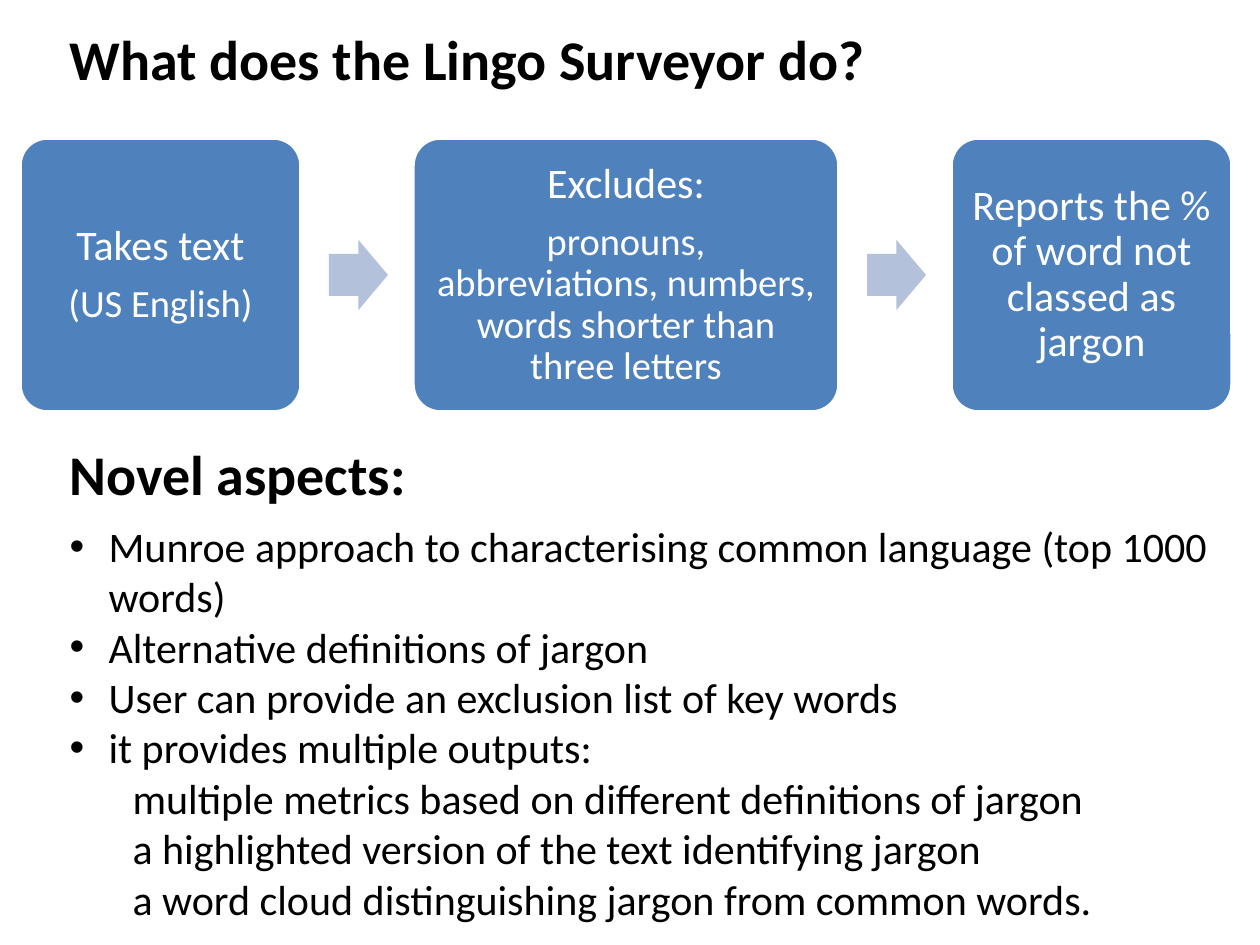
from pptx import Presentation
from pptx.dml.color import RGBColor
from pptx.enum.shapes import MSO_SHAPE
from pptx.enum.text import MSO_ANCHOR, MSO_AUTO_SIZE, PP_ALIGN
from pptx.oxml import parse_xml
from pptx.oxml.ns import nsdecls
from pptx.util import Pt

SCALE = 914400 / 126
COLORS = {"box": "4F81BD", "arrow": "B3C1DB", "light": "FFFFFF", "dark": "000000"}
STEPS = [
    (281, [("Takes text", 24), ("(US English)", 22)]),
    (426, [("Excludes:", 24),
           ("pronouns, abbreviations, numbers, words shorter than three letters", 22)]),
    (281, [("Reports the % of word not classed as jargon", 24)]),
]
POINTS = [
    (0, "Munroe approach to characterising common language (top 1000 words)"),
    (0, "Alternative definitions of jargon"),
    (0, "User can provide an exclusion list of key words"),
    (0, "it provides multiple outputs:"),
    (1, "multiple metrics based on different definitions of jargon"),
    (1, "a highlighted version of the text identifying jargon"),
    (1, "a word cloud distinguishing jargon from common words."),
]


def px(n):
    return round(n * SCALE)


def color(name):
    return RGBColor.from_string(COLORS[name])


def place(shape, box):
    shape.left, shape.top, shape.width, shape.height = map(px, box)


def write(para, text, size, tone="dark", bold=False):
    run = para.add_run()
    run.text = text
    font = run.font
    font.name, font.size, font.bold = "Calibri", Pt(size), bold
    font.color.rgb = color(tone)


def setup(frame, anchor):
    frame.word_wrap = True
    frame.auto_size = MSO_AUTO_SIZE.NONE
    frame.vertical_anchor = anchor


def heading(shape, box, text):
    place(shape, box)
    frame = shape.text_frame
    setup(frame, MSO_ANCHOR.TOP)
    para = frame.paragraphs[0]
    para.alignment = PP_ALIGN.LEFT
    write(para, text, 32, bold=True)


def block(slide, kind, box, fill):
    shape = slide.shapes.add_shape(kind, *map(px, box))
    shape.shadow.inherit = False
    shape.fill.solid()
    shape.fill.fore_color.rgb = color(fill)
    return shape


def step(slide, box, lines):
    shape = block(slide, MSO_SHAPE.ROUNDED_RECTANGLE, box, "box")
    shape.adjustments[0] = 0.1
    shape.line.color.rgb = color("light")
    shape.line.width = Pt(2)
    frame = shape.text_frame
    setup(frame, MSO_ANCHOR.MIDDLE)
    frame.margin_left = frame.margin_right = px(11)
    frame.margin_top = frame.margin_bottom = px(11)
    for i, (text, size) in enumerate(lines):
        para = frame.add_paragraph() if i else frame.paragraphs[0]
        para.alignment = PP_ALIGN.CENTER
        para.line_spacing = 0.9
        para.space_after = Pt(8.4 if i < len(lines) - 1 else 0)
        write(para, text, size, "light")


def arrow(slide, box):
    shape = block(slide, MSO_SHAPE.RIGHT_ARROW, box, "arrow")
    shape.adjustments[0] = 0.6
    shape.line.fill.background()


def flow(slide, box):
    left, top, width, height = box
    gap = (width - sum(w for w, _ in STEPS)) // (len(STEPS) - 1)
    for i, (w, lines) in enumerate(STEPS):
        if i:
            arrow(slide, (left - gap + 28, top + (height - 70) // 2, 59, 70))
        step(slide, (left, top, w, height), lines)
        left += w + gap


def points(shape, box):
    place(shape, box)
    frame = shape.text_frame
    setup(frame, MSO_ANCHOR.TOP)
    for i, (level, text) in enumerate(POINTS):
        para = frame.add_paragraph() if i else frame.paragraphs[0]
        para.level = level
        para.space_before = Pt(0)
        props = para._p.get_or_add_pPr()
        props.set("marL", str(px(63 if level else 39)))
        props.set("indent", str(px(0 if level else -39)))
        if level:
            props.append(parse_xml(f"<a:buNone {nsdecls('a')}/>"))
        write(para, text, 24)


def main():
    deck = Presentation()
    deck.slide_width, deck.slide_height = px(1260), px(945)
    slide = deck.slides.add_slide(deck.slide_layouts[1])
    heading(slide.shapes.title, (57, 18, 1105, 81), "What does the Lingo Surveyor do?")
    flow(slide, (20, 138, 1212, 274))
    label = slide.shapes.add_textbox(0, 0, 0, 0)
    heading(label, (57, 433, 1105, 81), "Novel aspects:")
    points(slide.placeholders[1], (57, 514, 1175, 431))
    deck.save("out.pptx")


if __name__ == "__main__":
    main()
